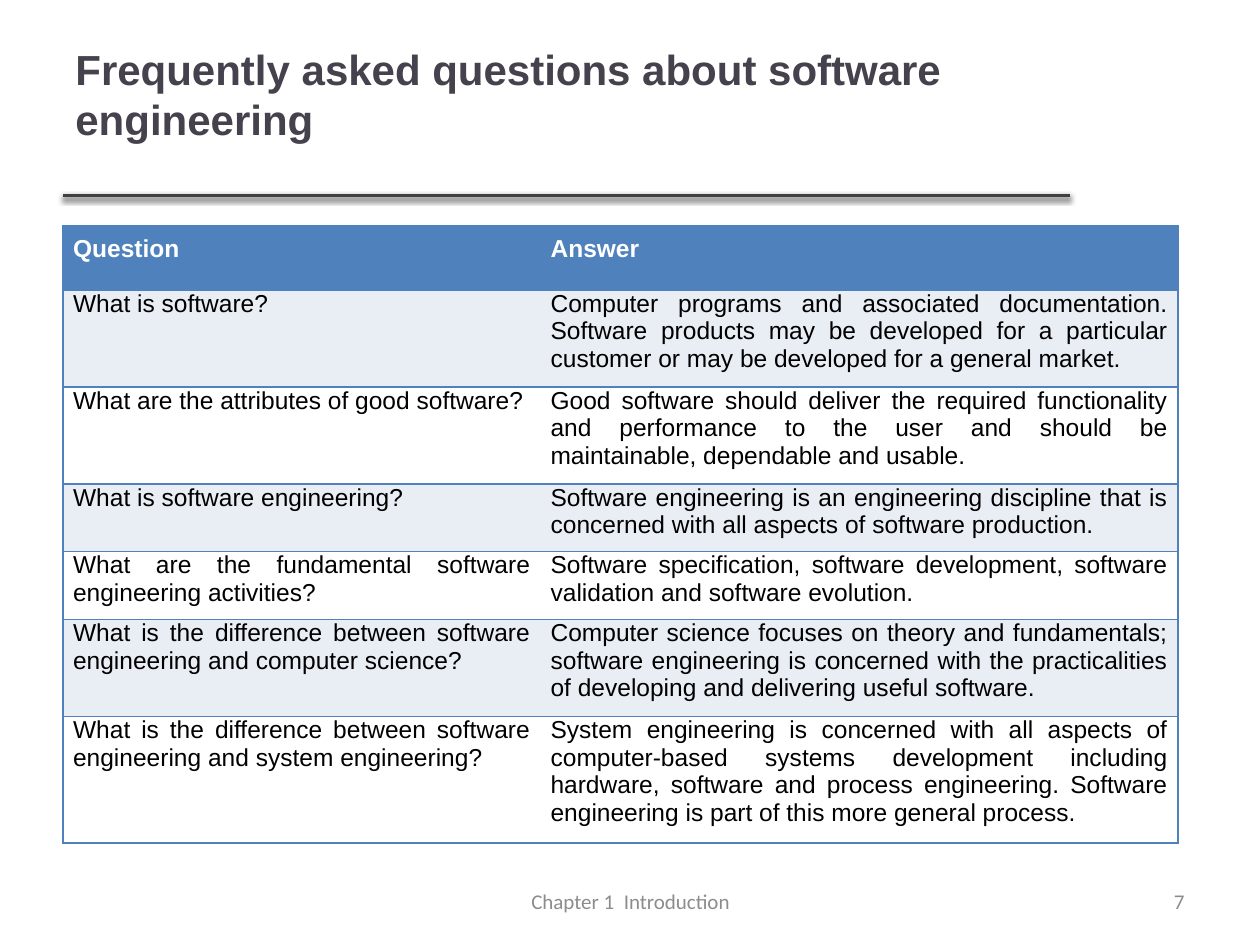
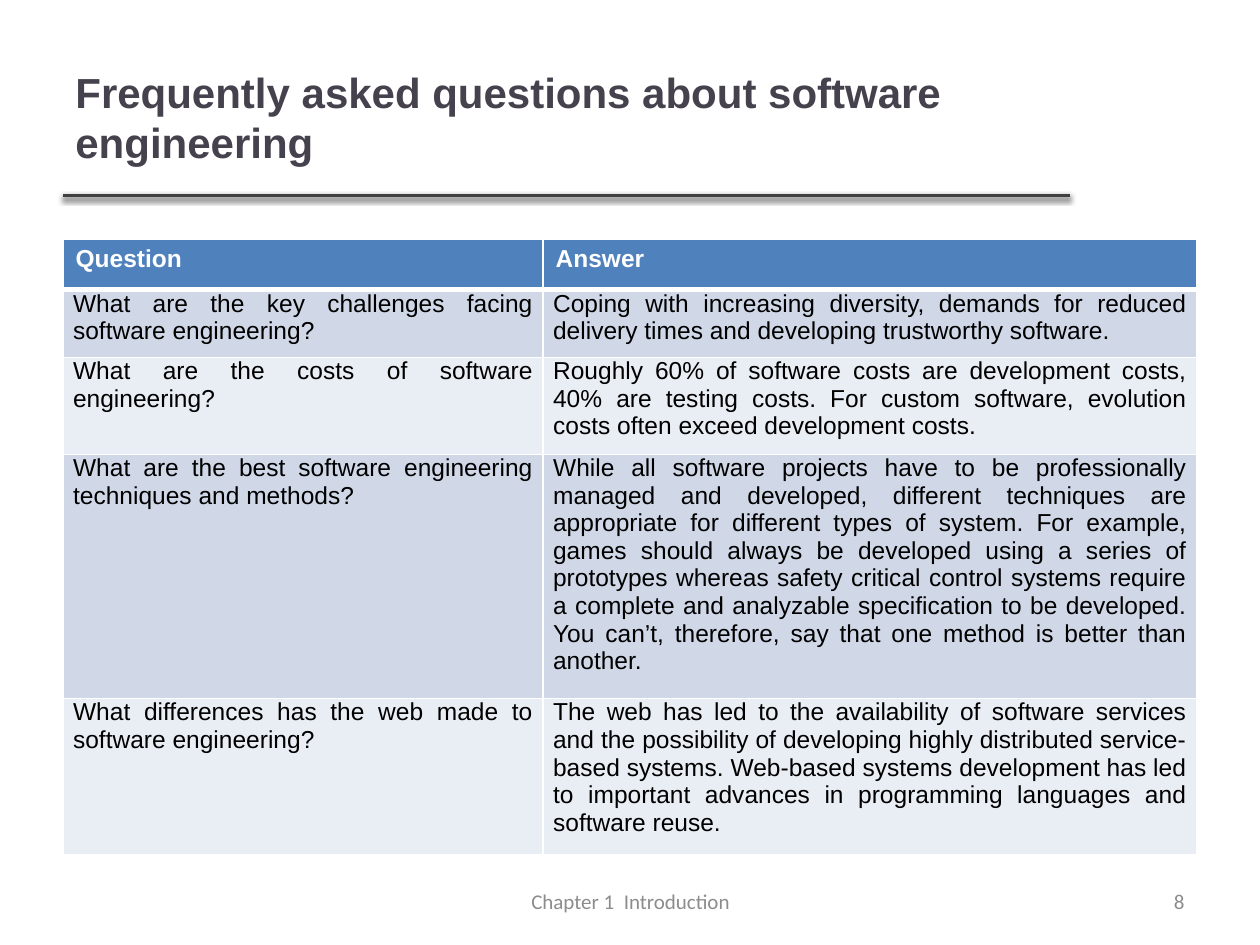
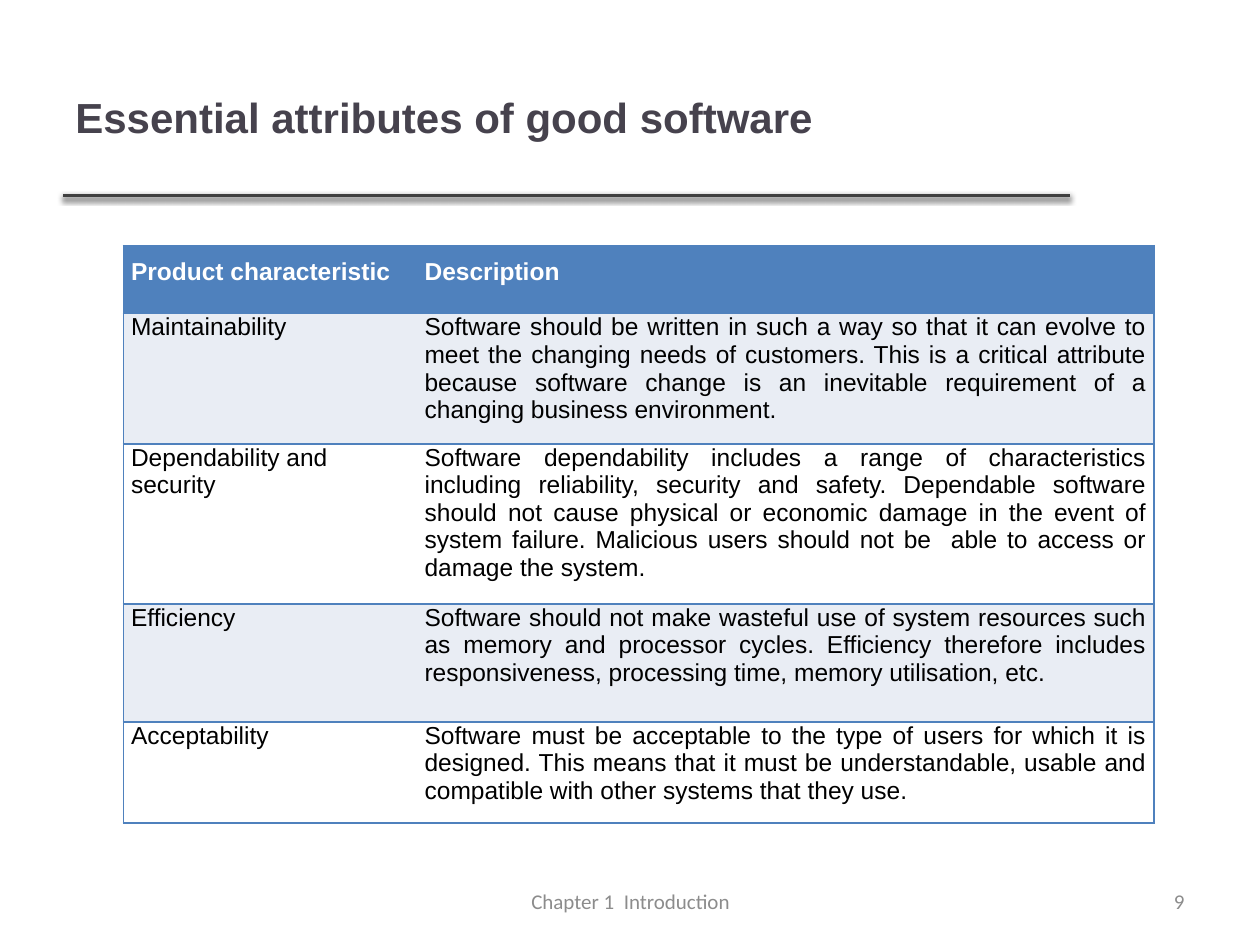
from dataclasses import dataclass

from pptx import Presentation
from pptx.dml.color import RGBColor
from pptx.enum import shapes, text
from pptx.oxml import parse_xml
from pptx.oxml.ns import nsdecls
from pptx.util import Inches, Pt

LEFT, CENTER = text.PP_ALIGN.LEFT, text.PP_ALIGN.CENTER
RIGHT, JUSTIFY = text.PP_ALIGN.RIGHT, text.PP_ALIGN.JUSTIFY


@dataclass(frozen=True)
class Theme:
    title: str = "46424D"
    rule: str = "404040"
    footer: str = "8C8C8C"
    blue: str = "4F81BD"
    mid_blue: str = "D0D8E8"
    pale_blue: str = "E9EDF4"
    white: str = "FFFFFF"
    black: str = "000000"
    heading_font: str = "Arial"
    footer_font: str = "Calibri"
    title_size: int = 24
    table_size: int = 14
    footer_size: int = 12


THEME = Theme()


@dataclass(frozen=True)
class TableLook:
    """Bands, borders and insets (left, top, right, bottom) of a table."""
    bands: tuple
    border: str
    header_rule: float
    inner_verticals: bool
    header_insets: tuple
    body_insets: tuple
    label_align: object = JUSTIFY


FAQ_BODY = (0.08, 0, 0.08, 0.07)
BOXED_FAQ = TableLook((THEME.pale_blue, THEME.white), THEME.blue, 1, False,
                      (0.08, 0.08, 0.08, 0.08), FAQ_BODY)
GRID_FAQ = TableLook((THEME.mid_blue, THEME.pale_blue), THEME.white, 3, True,
                     (0.1, 0.05, 0.1, 0.05), FAQ_BODY)
BOXED_ATTRIBUTES = TableLook((THEME.pale_blue, THEME.white), THEME.blue, 1, False,
                             (0.06, 0.1, 0.06, 0.1), (0.06, 0, 0.06, 0.1), LEFT)

FAQ_TITLE = "Frequently asked questions about software engineering"
FAQ_HEADER = ("Question", "Answer")

BASICS = [
    FAQ_HEADER,
    ("What is software?",
     "Computer programs and associated documentation. Software products may be "
     "developed for a particular customer or may be developed for a general market."),
    ("What are the attributes of good software?",
     "Good software should deliver the required functionality and performance to "
     "the user and should be maintainable, dependable and usable."),
    ("What is software engineering?",
     "Software engineering is an engineering discipline that is concerned with all "
     "aspects of software production."),
    ("What are the fundamental software engineering activities?",
     "Software specification, software development, software validation and "
     "software evolution."),
    ("What is the difference between software engineering and computer science?",
     "Computer science focuses on theory and fundamentals; software engineering is "
     "concerned with the practicalities of developing and delivering useful software."),
    ("What is the difference between software engineering and system engineering?",
     "System engineering is concerned with all aspects of computer-based systems "
     "development including hardware, software and process engineering. Software "
     "engineering is part of this more general process."),
]

PRACTICE = [
    FAQ_HEADER,
    ("What are the key challenges facing software engineering?",
     "Coping with increasing diversity, demands for reduced delivery times and "
     "developing trustworthy software."),
    ("What are the costs of software engineering?",
     "Roughly 60% of software costs are development costs, 40% are testing costs. "
     "For custom software, evolution costs often exceed development costs."),
    ("What are the best software engineering techniques and methods?",
     "While all software projects have to be professionally managed and developed, "
     "different techniques are appropriate for different types of system. For "
     "example, games should always be developed using a series of prototypes whereas "
     "safety critical control systems require a complete and analyzable specification "
     "to be developed. You can’t, therefore, say that one method is better than "
     "another."),
    ("What differences has the web made to software engineering?",
     "The web has led to the availability of software services and the possibility "
     "of developing highly distributed service-based systems. Web-based systems "
     "development has led to important advances in programming languages and "
     "software reuse."),
]

ATTRIBUTES = [
    ("Product characteristic", "Description"),
    ("Maintainability",
     "Software should be written in such a way so that it can evolve to meet the "
     "changing needs of customers. This is a critical attribute because software "
     "change is an inevitable requirement of a changing business environment."),
    ("Dependability and security",
     "Software dependability includes a range of characteristics including "
     "reliability, security and safety. Dependable software should not cause "
     "physical or economic damage in the event of system failure. Malicious users "
     "should not be  able to access or damage the system."),
    ("Efficiency",
     "Software should not make wasteful use of system resources such as memory and "
     "processor cycles. Efficiency therefore includes responsiveness, processing "
     "time, memory utilisation, etc."),
    ("Acceptability",
     "Software must be acceptable to the type of users for which it is designed. "
     "This means that it must be understandable, usable and compatible with other "
     "systems that they use."),
]


def style_paragraph(para, font, size, color, bold=False, align=LEFT):
    para.alignment = align
    para.font.name = font
    para.font.size = Pt(size)
    para.font.bold = bold
    para.font.color.rgb = RGBColor.from_string(color)


def add_text(page, words, place, **style):
    box = page.shapes.add_textbox(*map(Inches, place))
    frame = box.text_frame
    frame.word_wrap = True
    frame.vertical_anchor = text.MSO_ANCHOR.MIDDLE
    frame.text = words
    style_paragraph(frame.paragraphs[0], **style)
    return frame


def add_title_rule(page):
    line = page.shapes.add_connector(shapes.MSO_CONNECTOR.STRAIGHT, Inches(0.5),
                                     Inches(1.55), Inches(8.49), Inches(1.55))
    line.line.color.rgb = RGBColor.from_string(THEME.rule)
    line.line.width = Pt(2)
    line._element.spPr.append(parse_xml(
        f'<a:effectLst {nsdecls("a")}><a:outerShdw blurRad="{Pt(3.1)}" '
        f'dist="{Pt(1.6)}" dir="5400000" rotWithShape="0">'
        f'<a:srgbClr val="{THEME.black}"><a:alpha val="62000"/></a:srgbClr>'
        '</a:outerShdw></a:effectLst>'))


def add_page(deck, title, number, title_size=(7.98, 1.25), title_bottom=0.05):
    """Add a page with the shared title, rule and footer."""
    page = deck.slides.add_slide(deck.slide_layouts[6])
    add_title_rule(page)
    frame = add_text(page, title, (0.5, 0.3, *title_size), font=THEME.heading_font,
                     size=THEME.title_size, color=THEME.title, bold=True)
    frame.margin_bottom = Inches(title_bottom)
    footer = dict(font=THEME.footer_font, size=THEME.footer_size, color=THEME.footer)
    add_text(page, "Chapter 1  Introduction", (3.42, 6.95, 3.17, 0.4),
             align=CENTER, **footer)
    add_text(page, str(number), (7.17, 6.95, 2.33, 0.4), align=RIGHT, **footer)
    return page


def set_border(cell, side, color, width):
    """Draw one side (L, R, T or B) of a cell; a width of 0 hides it."""
    fill = (f'<a:solidFill><a:srgbClr val="{color}"/></a:solidFill>'
            if width else '<a:noFill/>')
    cell._tc.get_or_add_tcPr().append(parse_xml(
        f'<a:ln{side} {nsdecls("a")} w="{Pt(width)}">{fill}</a:ln{side}>'))


def style_cell(cell, row, column, look):
    header = row == 0
    # Borders come before the fill in the cell properties
    inner = 1 if look.inner_verticals else 0
    widths = {"L": 1 if column == 0 else inner,
              "R": inner if column == 0 else 1,
              "T": look.header_rule if row == 1 else 1,
              "B": look.header_rule if header else 1}
    for side, width in widths.items():
        set_border(cell, side, look.border, width)
    cell.fill.solid()
    color = THEME.blue if header else look.bands[(row - 1) % 2]
    cell.fill.fore_color.rgb = RGBColor.from_string(color)

    insets = look.header_insets if header else look.body_insets
    (cell.margin_left, cell.margin_top,
     cell.margin_right, cell.margin_bottom) = map(Inches, insets)
    body_align = look.label_align if column == 0 else JUSTIFY
    style_paragraph(cell.text_frame.paragraphs[0], THEME.heading_font,
                    THEME.table_size, THEME.white if header else THEME.black,
                    bold=header, align=LEFT if header else body_align)


def add_text_table(page, rows, left, top, widths, heights, look):
    table = page.shapes.add_table(
        len(rows), len(widths), Inches(left), Inches(top),
        Inches(sum(widths)), Inches(sum(heights))).table
    table.first_row = table.horz_banding = False
    for column, width in zip(table.columns, widths):
        column.width = Inches(width)
    for line, height in zip(table.rows, heights):
        line.height = Inches(height)
    for row, entries in enumerate(rows):
        for column, words in enumerate(entries):
            cell = table.cell(row, column)
            cell.text = words
            style_cell(cell, row, column, look)


def main():
    deck = Presentation()
    deck.slide_width, deck.slide_height = Inches(10), Inches(7.5)

    # Questions: the basics; the title sits one line higher
    page = add_page(deck, FAQ_TITLE, 7, title_size=(8.41, 1.29), title_bottom=0.45)
    add_text_table(page, BASICS, 0.5, 1.79, (3.79, 5.06),
                   (0.51, 0.73, 0.73, 0.52, 0.52, 0.73, 0.95), BOXED_FAQ)

    # Questions: practice
    page = add_page(deck, FAQ_TITLE, 8)
    add_text_table(page, PRACTICE, 0.5, 1.9, (3.81, 5.19),
                   (0.4, 0.51, 0.73, 1.83, 1.17), GRID_FAQ)

    # Attributes of good software
    page = add_page(deck, "Essential attributes of good software", 9)
    add_text_table(page, ATTRIBUTES, 0.98, 1.95, (2.33, 5.85),
                   (0.54, 0.98, 1.19, 0.94, 0.75), BOXED_ATTRIBUTES)

    deck.save("out.pptx")


if __name__ == "__main__":
    main()
